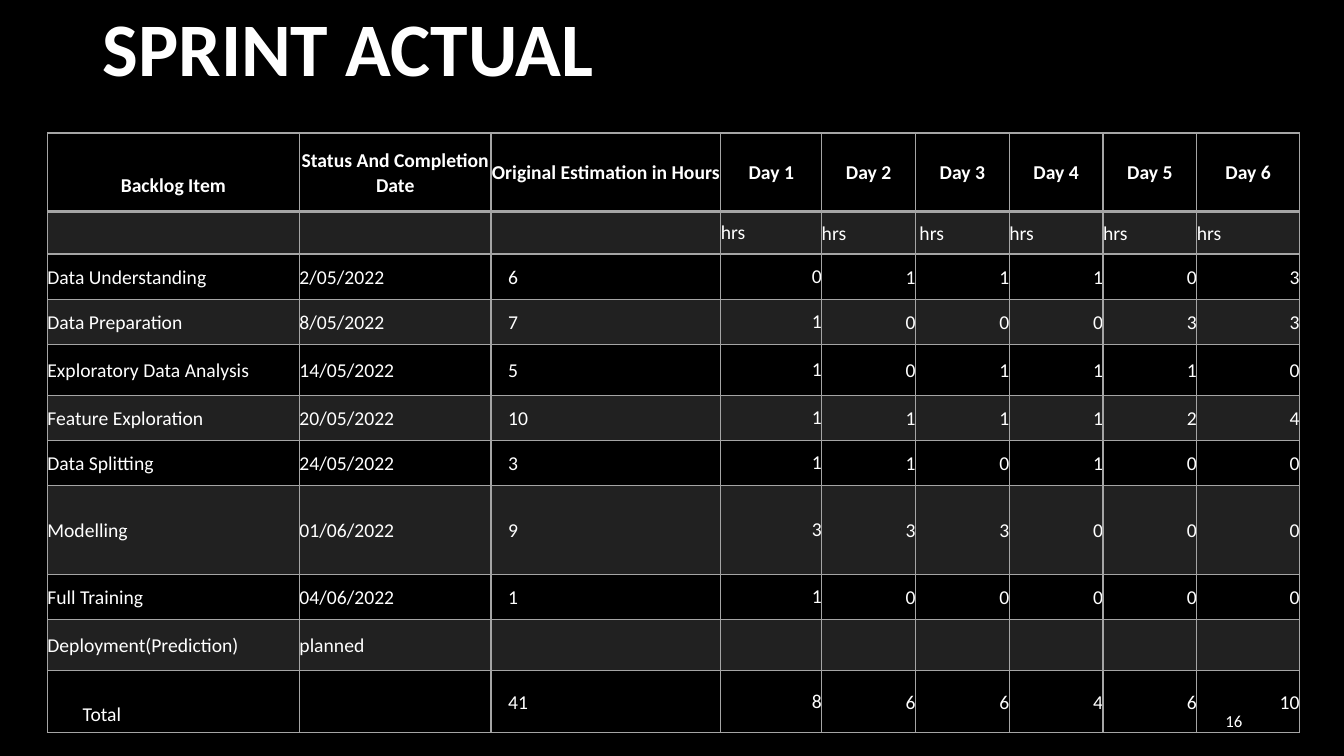
from lxml import etree
from pptx import Presentation
from pptx.dml.color import RGBColor
from pptx.enum.text import MSO_ANCHOR as ANCHOR, PP_ALIGN as ALIGN
from pptx.oxml.ns import qn
from pptx.util import Inches, Pt

WHITE, BLACK, GRAY = "FFFFFF", "000000", "A5A5A5"


def paint(fill, color, alpha=None):
    """Fill with a hex colour; alpha is the opacity in percent."""
    fill.solid()
    fill.fore_color.rgb = RGBColor.from_string(color)
    if alpha:
        clr = fill._xPr.find(qn("a:solidFill"))[0]
        etree.SubElement(clr, qn("a:alpha"), val=str(alpha * 1000))


def write(tf, text, size=14, bold=False, align=ALIGN.LEFT, spacing=None, after=0):
    tf.word_wrap = True
    p = tf.paragraphs[0]
    p.alignment, p.line_spacing, p.space_after = align, spacing, Pt(after)
    r = p.add_run()
    r.text = text
    r.font.name, r.font.size, r.font.bold = "Calibri", Pt(size), bold
    paint(r.font.fill, WHITE)


prs = Presentation()
prs.slide_width, prs.slide_height = Inches(13.33), Inches(7.5)
s = prs.slides.add_slide(prs.slide_layouts[6])
paint(s.background.fill, BLACK)

title = s.shapes.add_textbox(Inches(0.92), Inches(0.1), Inches(11.5), Inches(0.85))
title.text_frame.vertical_anchor = ANCHOR.BOTTOM
write(title.text_frame, "SPRINT ACTUAL", size=54, bold=True, spacing=0.8, after=6)

rows = [
    ["Backlog Item", "Status And Completion Date", "Original Estimation in Hours"]
    + [f"Day {day}" for day in range(1, 7)],
    ["", "", ""] + ["hrs"] * 6,
    ["Data Understanding", "2/05/2022", 6, 0, 1, 1, 1, 0, 3],
    ["Data Preparation", "8/05/2022", 7, 1, 0, 0, 0, 3, 3],
    ["Exploratory Data Analysis", "14/05/2022", 5, 1, 0, 1, 1, 1, 0],
    ["Feature Exploration", "20/05/2022", 10, 1, 1, 1, 1, 2, 4],
    ["Data Splitting", "24/05/2022", 3, 1, 1, 0, 1, 0, 0],
    ["Modelling", "01/06/2022", 9, 3, 3, 3, 0, 0, 0],
    ["Full Training", "04/06/2022", 1, 1, 0, 0, 0, 0, 0],
    ["Deployment(Prediction)", "planned"] + [""] * 7,
    ["Total", "", 41, 8, 6, 6, 4, 6, 10],
]
col_widths = [2.5, 1.9, 2.28, 1, 0.93, 0.93, 0.93, 0.93, 1.02]
row_heights = [0.78, 0.42, 0.45, 0.45, 0.5, 0.45, 0.45, 0.88, 0.45, 0.5, 0.62]
last = len(rows) - 1
ESTIMATE, DAY_1, DAY_3 = 2, 3, 5

table = s.shapes.add_table(len(rows), len(col_widths), Inches(0.47), Inches(1.32),
                           Inches(12.45), Inches(5.96)).table
table.first_row = table.horz_banding = False
for col, width in zip(table.columns, col_widths):
    col.width = Inches(width)
for row, height in zip(table.rows, row_heights):
    row.height = Inches(height)

for i, values in enumerate(rows):
    header = i == 0
    for j, value in enumerate(values):
        cell = table.cell(i, j)
        cell.vertical_anchor = ANCHOR.MIDDLE
        cell.margin_left = cell.margin_right = cell.margin_top = cell.margin_bottom = 0
        if j == 0 and i in (0, last):
            cell.margin_top = Inches(0.25)
        if (i, j) == (last, 0):
            cell.margin_left = Inches(0.35)
        elif j == ESTIMATE and not header:
            cell.margin_left = Inches(0.17)
        elif (i, j) == (1, DAY_3):
            cell.margin_left = Inches(0.04)

        align = ALIGN.LEFT
        if header:
            align = ALIGN.CENTER
        elif j >= DAY_1 and i > 1:
            align = ALIGN.RIGHT
        spacing = None if j == DAY_1 and not header else 1.07
        write(cell.text_frame, str(value), bold=header, align=align, spacing=spacing)

        tc_pr = cell._tc.get_or_add_tcPr()
        for side in "LRTB":
            thick = (i, side) in ((0, "B"), (1, "T"))
            ln = etree.SubElement(tc_pr, qn(f"a:ln{side}"), w=str(Pt(2 if thick else 1)))
            solid = etree.SubElement(ln, qn("a:solidFill"))
            etree.SubElement(solid, qn("a:srgbClr"), val=GRAY)
        if i % 2:
            paint(cell.fill, GRAY, alpha=20)
        else:
            cell.fill.background()

number = s.shapes.add_textbox(Inches(9.42), Inches(6.95), Inches(3), Inches(0.4))
number.text_frame.vertical_anchor = ANCHOR.MIDDLE
write(number.text_frame, "16", size=12, align=ALIGN.RIGHT)

prs.save("out.pptx")
